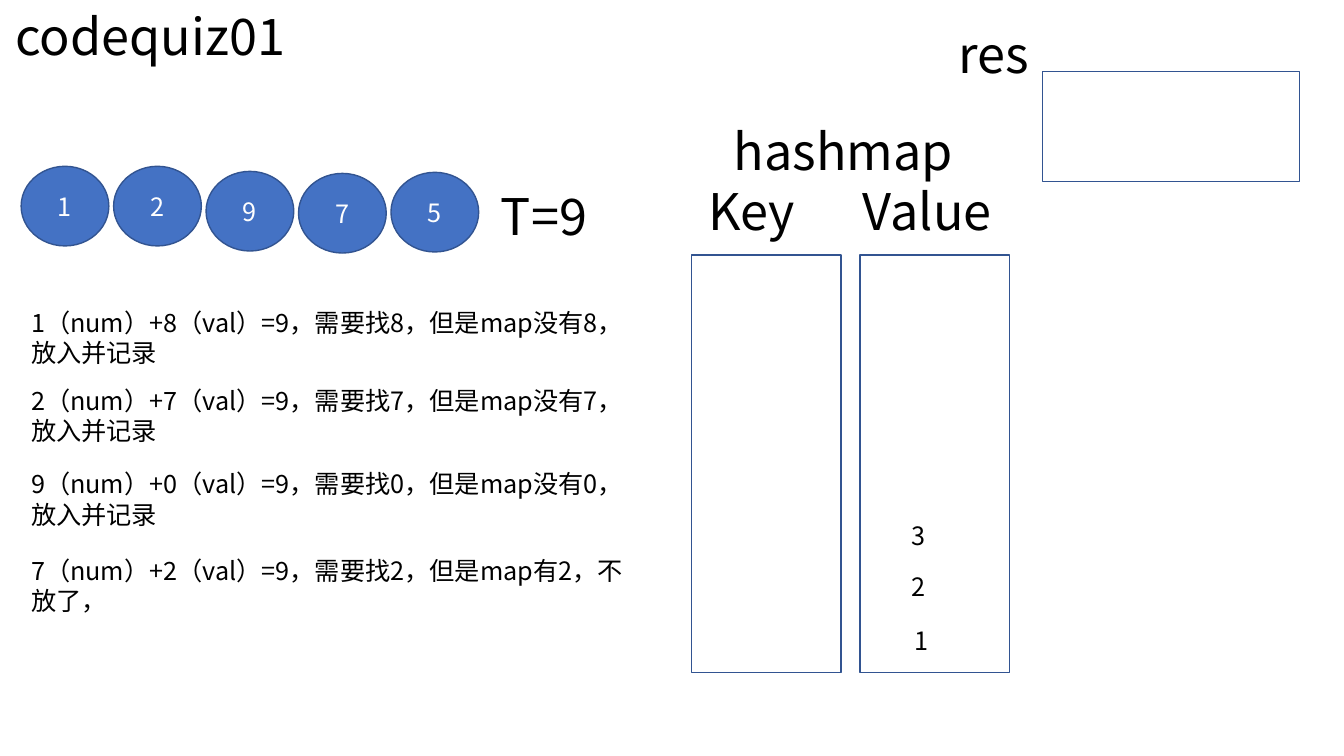
from dataclasses import dataclass

from lxml import etree
from pptx import Presentation
from pptx.dml.color import RGBColor
from pptx.enum.shapes import MSO_SHAPE
from pptx.enum.text import MSO_ANCHOR, MSO_AUTO_SIZE, PP_ALIGN
from pptx.oxml.ns import qn
from pptx.util import Inches, Pt

OVAL, RECTANGLE = MSO_SHAPE.OVAL, MSO_SHAPE.RECTANGLE
TOP, MIDDLE = MSO_ANCHOR.TOP, MSO_ANCHOR.MIDDLE
LEFT, CENTER = PP_ALIGN.LEFT, PP_ALIGN.CENTER
TITLE_ONLY = 5


@dataclass(frozen=True)
class Theme:
    """Colours, font and type sizes of the slide."""
    font: str = "Noto Sans CJK SC"
    ink: RGBColor = RGBColor(0, 0, 0)
    light: RGBColor = RGBColor(255, 255, 255)
    accent: RGBColor = RGBColor(0x44, 0x72, 0xC4)
    outline: RGBColor = RGBColor(0x32, 0x54, 0x91)
    heading: int = 36
    body: int = 18


theme = Theme()


def write(shape, text, size, color=theme.ink, align=LEFT, anchor=TOP, wrap=True):
    """Put one formatted run of text into a shape."""
    frame = shape.text_frame
    frame.word_wrap = wrap
    frame.auto_size = MSO_AUTO_SIZE.NONE
    frame.vertical_anchor = anchor
    para = frame.paragraphs[0]
    para.alignment = align
    span = para.add_run()
    span.text = text
    span.font.size = Pt(size)
    span.font.color.rgb = color
    span.font.name = theme.font
    east_asian = etree.SubElement(span.font._element, qn("a:ea"))
    east_asian.set("typeface", theme.font)


def add_outlined(kind, left, top, width, height):
    """Add an unfilled shape with the thin blue outline."""
    shape = page.shapes.add_shape(
        kind, Inches(left), Inches(top), Inches(width), Inches(height))
    shape.shadow.inherit = False
    shape.fill.background()
    shape.line.color.rgb = theme.outline
    shape.line.width = Pt(1)
    return shape


deck = Presentation()
deck.slide_width, deck.slide_height = Inches(13.33), Inches(7.5)
page = deck.slides.add_slide(deck.slide_layouts[TITLE_ONLY])

title = page.shapes.title
title.left, title.top = Inches(0.05), Inches(0)
title.width, title.height = Inches(4.82), Inches(0.71)
write(title, "codequiz01", theme.heading)

# Input numbers, evenly spaced from left to right
number_tops = {"1": 1.65, "2": 1.65, "9": 1.7, "7": 1.72, "5": 1.71}
for index, (number, top) in enumerate(number_tops.items()):
    circle = add_outlined(OVAL, 0.21 + 0.917 * index, top, 0.87, 0.79)
    circle.fill.solid()
    circle.fill.fore_color.rgb = theme.accent
    write(circle, number, theme.body, theme.light, CENTER, MIDDLE)

# Hash map columns and result box
for column_left in (6.86, 8.53):
    add_outlined(RECTANGLE, column_left, 2.53, 1.48, 4.14)
add_outlined(RECTANGLE, 10.34, 0.71, 2.55, 1.09)

headings = [
    ("T=9", 4.87, 1.79, 1.3),
    ("hashmap", 7.18, 1.14, 2.6),
    ("Key", 6.93, 1.74, 1.3),
    ("Value", 8.46, 1.74, 1.7),
    ("res", 9.41, 0.18, 0.93),
]
for text, left, top, width in headings:
    box = page.shapes.add_textbox(
        Inches(left), Inches(top), Inches(width), Inches(0.71))
    write(box, text, theme.heading)

# Explanation of each step
steps = [
    (3.0, "1（num）+8（val）=9，需要找8，但是map没有8，放入并记录"),
    (3.77, "2（num）+7（val）=9，需要找7，但是map没有7，放入并记录"),
    (4.6, "9（num）+0（val）=9，需要找0，但是map没有0，放入并记录"),
    (5.46, "7（num）+2（val）=9，需要找2，但是map有2，不放了，"),
]
for top, text in steps:
    box = page.shapes.add_textbox(
        Inches(0.21), Inches(top), Inches(6.13), Inches(0.71))
    write(box, text, theme.body)

# Values stored in the map, stacked from the bottom
for value, left, top in (("1", 8.97, 6.15), ("2", 8.94, 5.62), ("3", 8.94, 5.11)):
    box = page.shapes.add_textbox(
        Inches(left), Inches(top), Inches(0.34), Inches(0.4))
    write(box, value, theme.body, wrap=False)

deck.save("out.pptx")
